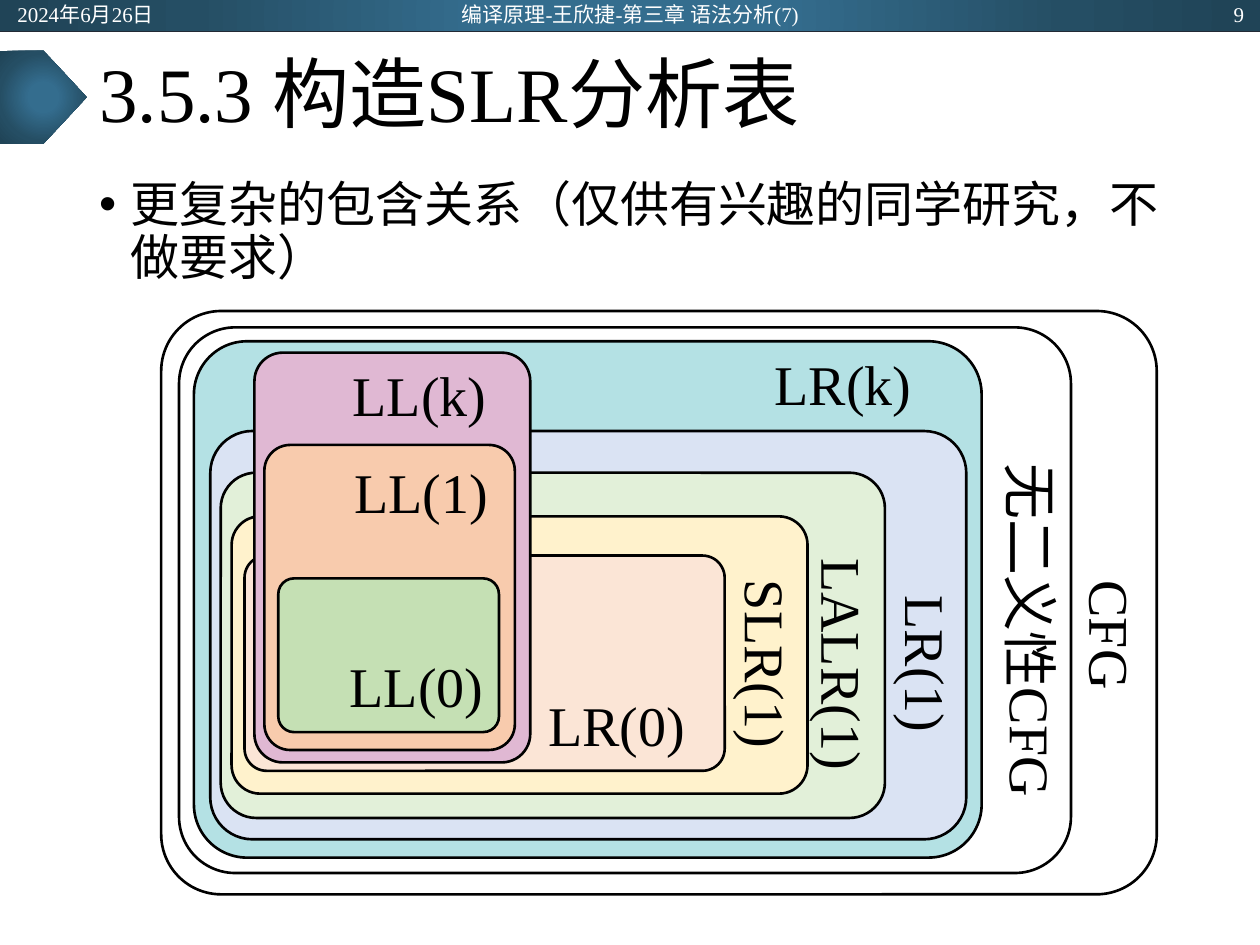
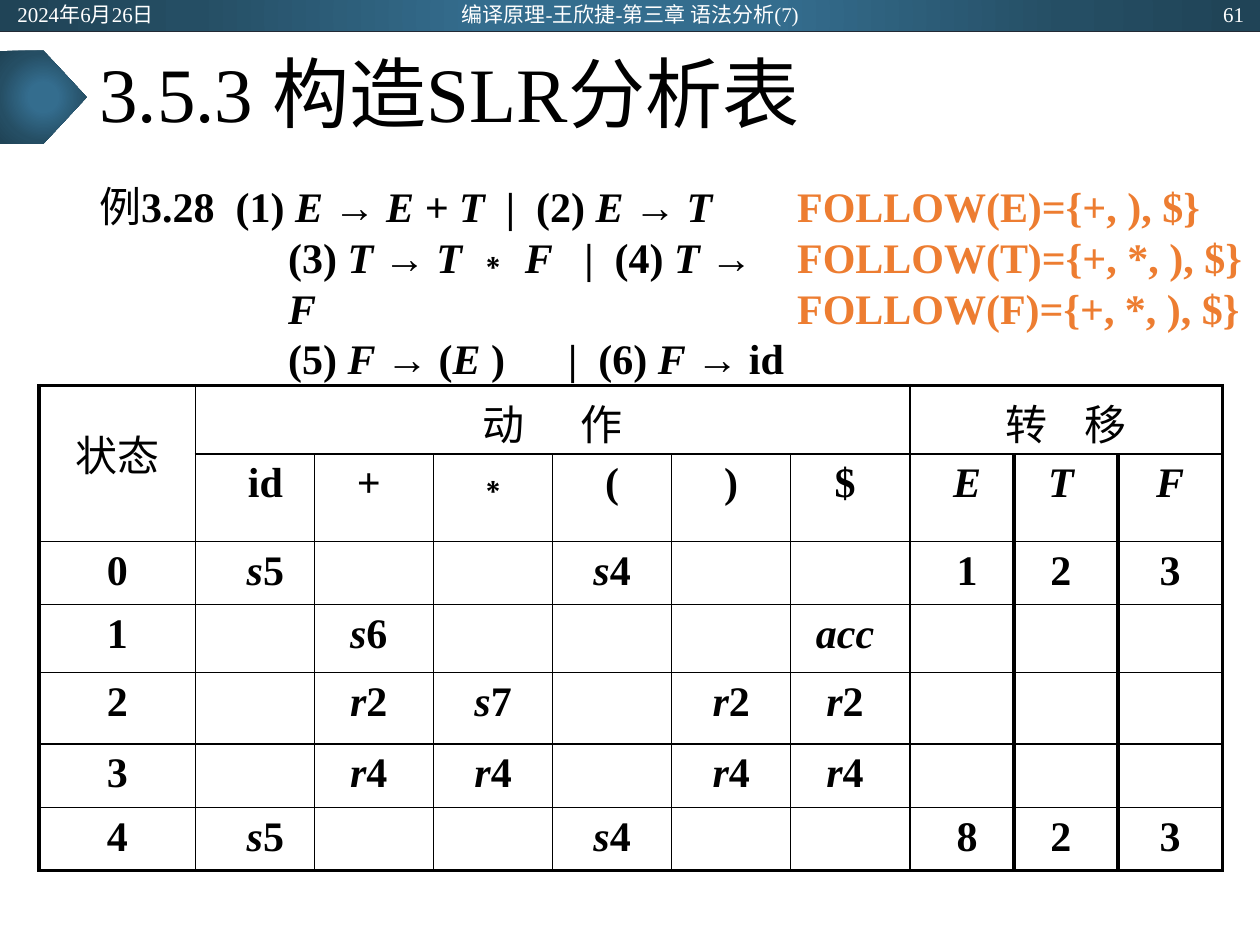
from pptx import Presentation
from pptx.dml.color import RGBColor
from pptx.enum.shapes import MSO_CONNECTOR, MSO_SHAPE
from pptx.enum.text import MSO_ANCHOR, MSO_AUTO_SIZE, PP_ALIGN
from pptx.oxml import parse_xml
from pptx.oxml.ns import nsdecls, qn
from pptx.util import Cm, Pt
from lxml.etree import SubElement

LATIN = "Times New Roman"
HAN = "Noto Sans CJK SC"
BLACK, WHITE, ORANGE, RULE = "000000", "FFFFFF", "ED7D31", "222A35"
BAND_STOPS = [(0, "346D8E"), (23, "346D8E"), (69, "254E64"), (97, "204457")]
TITLE = "3.5.3 构造SLR分析表"
DATE = "2024年6月26日"
COURSE = "编译原理-王欣捷-第三章 语法分析(7)"


def write(para, text, size=24, color=BLACK, bold=False, font=LATIN,
          align=PP_ALIGN.LEFT, gaps=()):
    """Add text to a paragraph: _x_ is italic, each ~ a space widened by the next of gaps (points)."""
    para.alignment = align
    gaps = iter(gaps)
    spans = []
    for number, piece in enumerate(text.split("_")):
        for order, part in enumerate(piece.split("~")):
            if order:
                spans.append((" ", False, next(gaps)))
            if part:
                spans.append((part, number % 2 == 1, 0))
    for part, italic, spacing in spans:
        span = para.add_run()
        span.text = part
        span.font.name = font
        span.font.size = Pt(size)
        span.font.bold = bold
        span.font.italic = italic
        span.font.color.rgb = RGBColor.from_string(color)
        properties = span.font._element
        SubElement(properties, qn("a:ea")).set("typeface", HAN)
        if spacing:
            properties.set("spc", str(spacing * 100))


def add_box(page, left, top, width, height, text="", rotation=0,
            anchor=MSO_ANCHOR.TOP, wrap=True, **text_format):
    """Add a text box, measured in centimetres, and return its text frame."""
    box = page.shapes.add_textbox(Cm(left), Cm(top), Cm(width), Cm(height))
    box.rotation = rotation
    frame = box.text_frame
    frame.word_wrap = wrap
    frame.vertical_anchor = anchor
    if text:
        write(frame.paragraphs[0], text, **text_format)
    return frame


deck = Presentation()
deck.slide_width, deck.slide_height = Cm(25.4), Cm(19.05)

# Band, arrow, title and header texts of every page
stops = "".join(f'<a:gs pos="{place * 1000}"><a:srgbClr val="{color}"/></a:gs>'
                for place, color in BAND_STOPS)
band_fill = (f'<a:gradFill {nsdecls("a")} rotWithShape="1"><a:gsLst>{stops}</a:gsLst>'
             '<a:path path="circle"><a:fillToRect l="50000" t="50000" r="50000" b="50000"/>'
             '</a:path></a:gradFill>')

pages = []
for page_number in ("9", "61"):
    page = deck.slides.add_slide(deck.slide_layouts[5])
    pages.append(page)

    for kind, top, width, height in ((MSO_SHAPE.RECTANGLE, 0, 25.4, 0.64),
                                     (MSO_SHAPE.PENTAGON, 1.02, 1.75, 1.88)):
        band = page.shapes.add_shape(kind, 0, Cm(top), Cm(width), Cm(height))
        band.shadow.inherit = False
        band.line.fill.background()
        band.fill.background()
        properties = band._element.spPr
        properties.replace(properties.find(qn("a:noFill")), parse_xml(band_fill))

    rule = page.shapes.add_connector(MSO_CONNECTOR.STRAIGHT, 0, Cm(0.64), Cm(25.4), Cm(0.64))
    rule.line.color.rgb = RGBColor.from_string(RULE)
    rule.line.width = Pt(0.5)
    SubElement(rule._element.spPr, qn("a:effectLst"))

    title = page.shapes.title
    title.left, title.top, title.width, title.height = Cm(1.75), Cm(0.64), Cm(21.89), Cm(2.64)
    title.text_frame.auto_size = MSO_AUTO_SIZE.NONE
    title.text_frame.vertical_anchor = MSO_ANCHOR.MIDDLE
    title.text_frame.paragraphs[0].line_spacing = 0.9
    write(title.text_frame.paragraphs[0], TITLE, size=44)

    for left, width, text, align in ((0.1, 5.72, DATE, PP_ALIGN.LEFT),
                                     (8.41, 8.59, COURSE, PP_ALIGN.CENTER),
                                     (19.61, 5.72, page_number, PP_ALIGN.RIGHT)):
        add_box(page, left, 0.03, width, 0.51, text, anchor=MSO_ANCHOR.MIDDLE,
                size=12, color=WHITE, align=align)

inclusion_page, table_page = pages

# Grammar classes nested in one another
intro = add_box(inclusion_page, 1.75, 3.51, 21.89, 3.07,
                "更复杂的包含关系（仅供有兴趣的同学研究，不做要求）", size=28)
para = intro.paragraphs[0]
para.line_spacing = 0.9
para.space_before = Pt(10)
properties = para._p.get_or_add_pPr()
properties.set("marL", str(Cm(0.64)))
properties.set("indent", str(-Cm(0.64)))
SubElement(properties, qn("a:buFont")).set("typeface", "Arial")
SubElement(properties, qn("a:buChar")).set("char", "•")

# left, top, width, height, fill; then the label with its left, top, width, rotation
grammar_classes = [
    ((3.25, 6.27, 20.07, 11.76), None, "CFG", (18.26, 11.99, 8.28), 90),
    ((3.61, 6.6, 17.98, 11), None, "无二义性CFG", (16.92, 11.89, 7.75), 90),
    ((3.91, 6.88, 15.88, 10.41), "B4E1E4", "LR(k)", (14.99, 6.93, 4.01), 0),
    ((4.24, 8.69, 15.24, 8.23), "DAE3F3", "LR(1)", (16.97, 12.57, 3.43), 90),
    ((4.45, 9.53, 13.39, 6.96), "E2F0D9", "LALR(1)", (14.48, 12.57, 5.03), 90),
    ((4.67, 10.41, 11.61, 5.59), "FFF2CC", "SLR(1)", (13.41, 12.57, 4.09), 90),
    ((4.93, 11.2, 9.68, 4.34), "FBE5D6", "LR(0)", (10.39, 13.79, 4.09), 0),
    ((5.13, 7.11, 5.56, 8.26), "E0B8D3", "LL(k)", (6.48, 7.14, 3.96), 0),
    ((5.33, 8.97, 5.05, 6.15), "F8CBAD", "LL(1)", (6.45, 9.09, 4.09), 0),
    ((5.61, 11.66, 4.45, 3.1), "C5E0B4", "LL(0)", (6.48, 13, 3.84), 0),
]
for place, fill, *_ in grammar_classes:
    region = inclusion_page.shapes.add_shape(MSO_SHAPE.ROUNDED_RECTANGLE,
                                             *(Cm(length) for length in place))
    region.adjustments[0] = 0.103
    region.shadow.inherit = False
    region.line.color.rgb = RGBColor.from_string(BLACK)
    region.line.width = Pt(1.5)
    if fill:
        region.fill.solid()
        region.fill.fore_color.rgb = RGBColor.from_string(fill)
    else:
        region.fill.background()
for _, _, name, place, rotation in grammar_classes:
    add_box(inclusion_page, *place, 1.63, name, rotation=rotation, size=32,
            align=PP_ALIGN.CENTER)

# Productions and FOLLOW sets
productions = [
    ("3.28~(1) _E_ → _E + T_~|~(2) _E_ → _T_", (6, 6, 6)),
    ("(3) _T_ → _T_ ∗ _F_~|~(4) _T_ → _F_", (12, 6)),
    ("(5) _F_ → (_E_ )~|~(6) _F_ → id", (30, 6)),
]
grammar = add_box(table_page, 1.75, 3.51, 14.4, 3.9)
for number, (text, gaps) in enumerate(productions):
    para = grammar.add_paragraph() if number else grammar.paragraphs[0]
    para.line_spacing = Pt(29)
    if number:
        para._p.get_or_add_pPr().set("marL", str(Cm(3.81)))
    else:
        write(para, "例", font=HAN)
    write(para, text, bold=True, gaps=gaps)

follow = add_box(table_page, 15.82, 3.51, 9.58, 3.33, wrap=False)
for number, text in enumerate(("FOLLOW(E)={+, ), $}", "FOLLOW(T)={+, *, ), $}",
                               "FOLLOW(F)={+, *, ), $}")):
    para = follow.add_paragraph() if number else follow.paragraphs[0]
    para.line_spacing = Pt(29)
    write(para, text, bold=True, color=ORANGE)

# SLR table
rows = [
    ["状态", "动~作", "", "", "", "", "", "转~移", "", ""],
    ["", "id", "+", "∗", "(", ")", "$", "_E_", "_T_", "_F_"],
    ["0", "_s_5", "", "", "_s_4", "", "", "1", "2", "3"],
    ["1", "", "_s_6", "", "", "", "_acc_", "", "", ""],
    ["2", "", "_r_2", "_s_7", "", "_r_2", "_r_2", "", "", ""],
    ["3", "", "_r_4", "_r_4", "", "_r_4", "_r_4", "", "", ""],
    ["4", "_s_5", "", "", "_s_4", "", "", "8", "2", "3"],
]
column_widths = [3.15] + [2.4] * 6 + [2.1] * 3
row_heights = [1.38, 1.77, 1.27, 1.37, 1.44, 1.28, 1.27]
column_shifts = [0, 2, -1, 0, 0, 0, -1, 1, -1, 0]
heading_gaps = {1: [27], 7: [16]}
heavy_columns, heavy_rows = {0, 8, 9, 10}, {0, 7}

frame = table_page.shapes.add_table(len(rows), len(column_widths), Cm(0.79), Cm(7.77),
                                    Cm(sum(column_widths)), Cm(sum(row_heights)))
table = frame.table
table.first_row = table.horz_banding = False
for column, width in zip(table.columns, column_widths):
    column.width = Cm(width)
for row, height in zip(table.rows, row_heights):
    row.height = Cm(height)
table.cell(0, 0).merge(table.cell(1, 0))
table.cell(0, 1).merge(table.cell(0, 6))
table.cell(0, 7).merge(table.cell(0, 9))

for r, texts in enumerate(rows):
    for c, text in enumerate(texts):
        cell = table.cell(r, c)
        shift = column_shifts[c] if r else 0
        cell.margin_left = Cm(0.25 + 0.21 * max(shift, 0))
        cell.margin_right = Cm(0.25 + 0.21 * max(-shift, 0))
        cell.margin_top, cell.margin_bottom = Cm(0.13), 0
        cell.fill.background()
        if text:
            write(cell.text_frame.paragraphs[0], text, bold=r > 0,
                  font=HAN if r == 0 and c else LATIN, align=PP_ALIGN.CENTER,
                  gaps=heading_gaps.get(c, ()) if r == 0 else ())
        properties = cell._tc.get_or_add_tcPr()
        edges = {"L": c in heavy_columns, "R": c + 1 in heavy_columns,
                 "T": r in heavy_rows, "B": r + 1 in heavy_rows}
        for order, (side, heavy) in enumerate(edges.items()):
            properties.insert(order, parse_xml(
                f'<a:ln{side} {nsdecls("a")} w="{Pt(2.25 if heavy else 1)}"><a:solidFill>'
                f'<a:srgbClr val="{BLACK}"/></a:solidFill></a:ln{side}>'))
table.cell(0, 0).text_frame.paragraphs[0].line_spacing = 1.5

deck.save("out.pptx")
